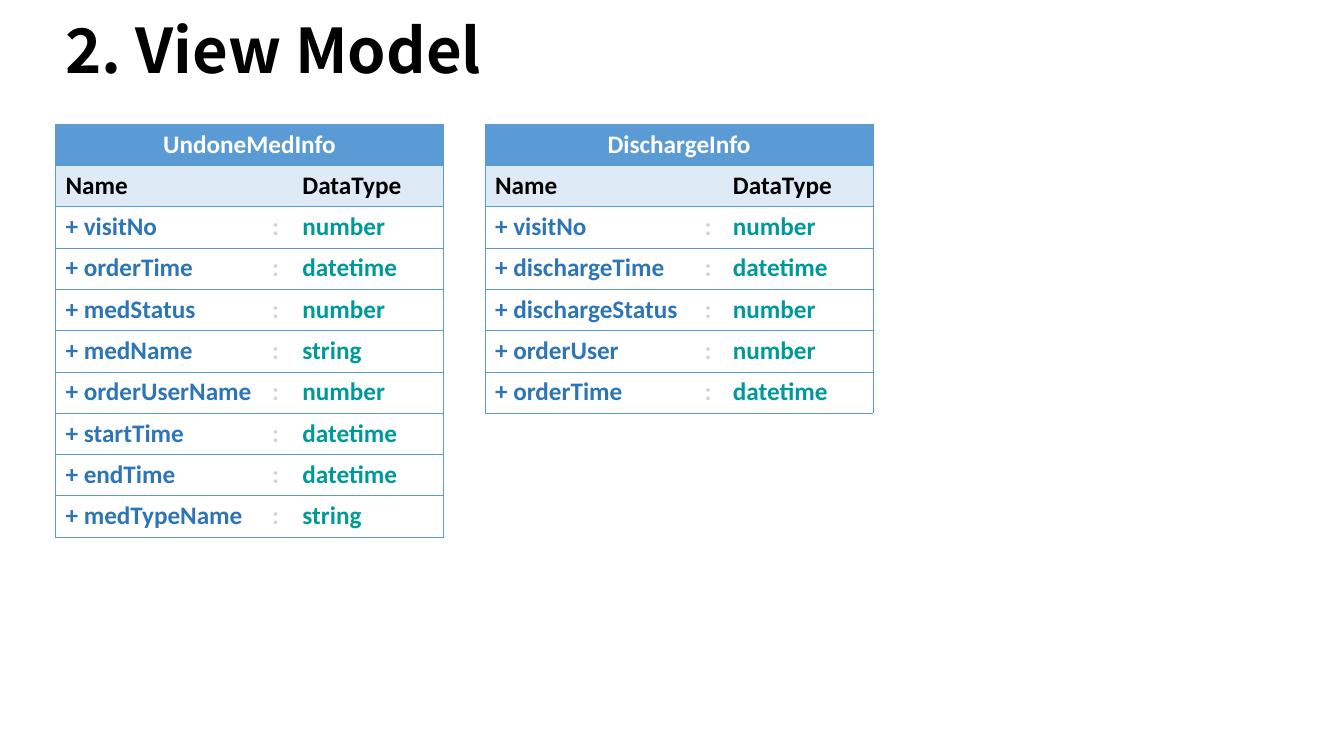
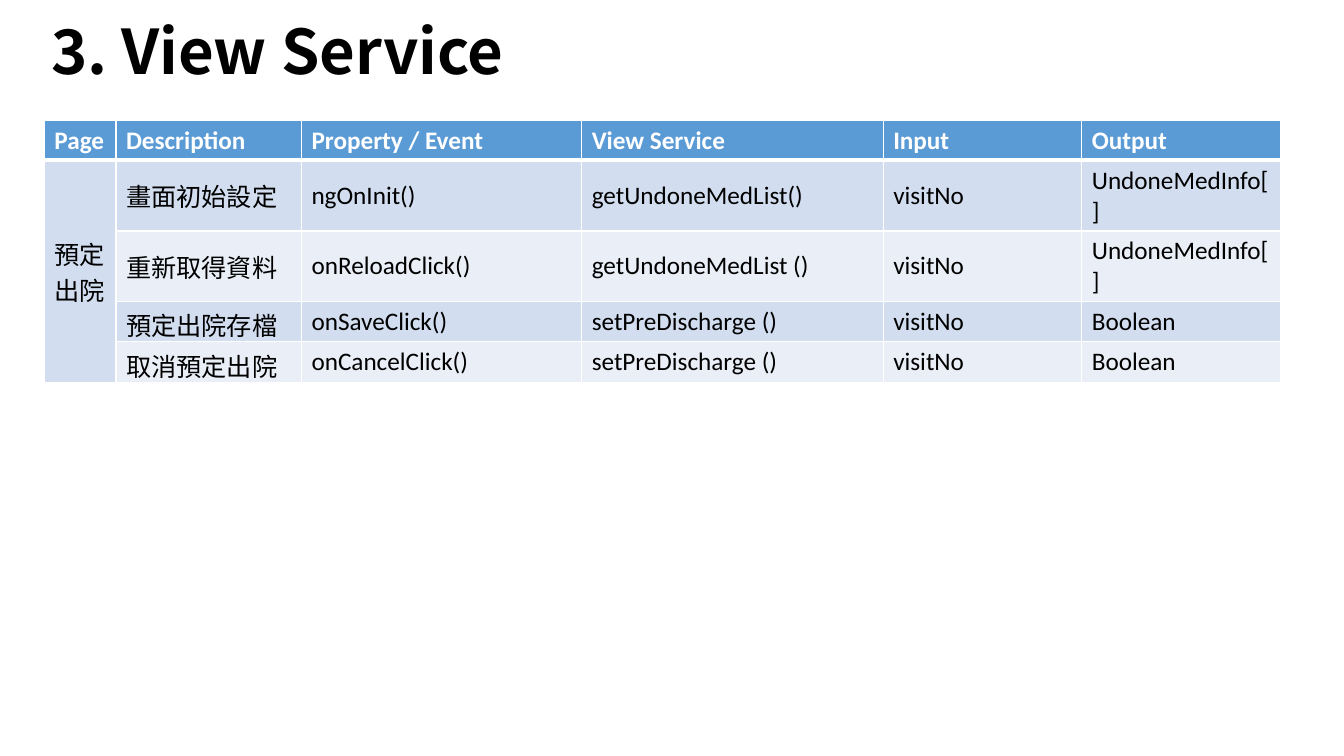
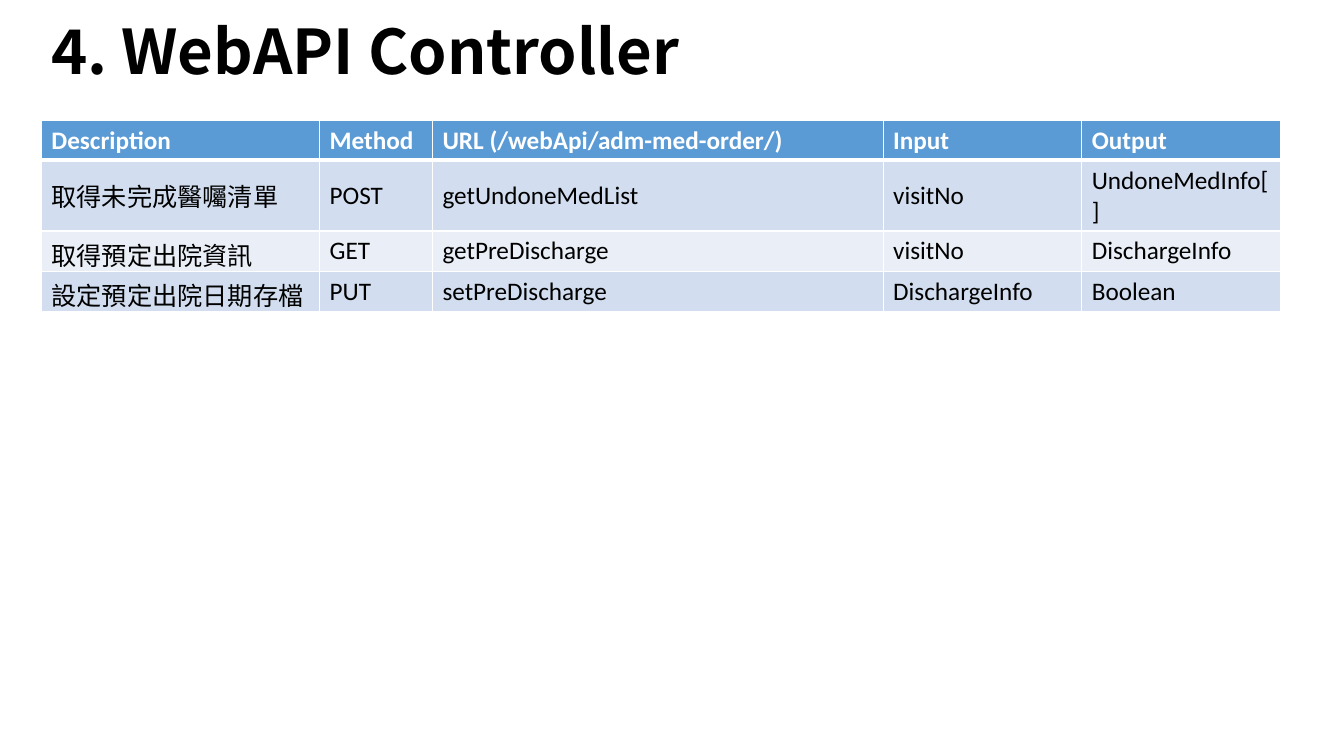
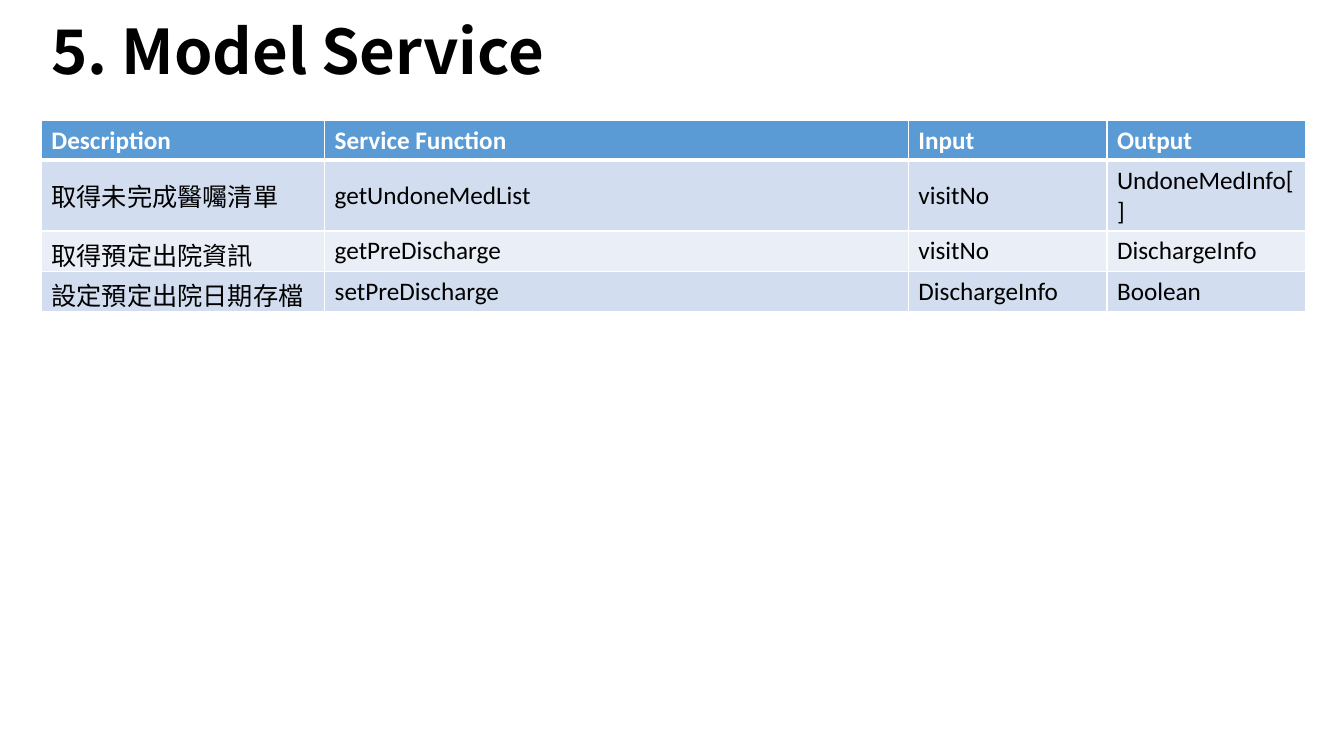
from dataclasses import dataclass

from pptx import Presentation
from pptx.dml.color import RGBColor
from pptx.enum.text import MSO_ANCHOR as Anchor, PP_ALIGN as Align
from pptx.oxml.ns import qn
from pptx.util import Inches, Pt
from lxml.etree import SubElement


# Theme
@dataclass(frozen=True)
class Theme:
    latin: str = "Calibri"
    cjk: str = "Noto Sans CJK SC"
    title_size: int = 44
    body_size: int = 18
    black: str = "000000"
    white: str = "FFFFFF"
    blue: str = "5B9BD5"
    subheader: str = "DEEBF7"
    field: str = "2E75B6"
    colon: str = "D4D4D4"
    datatype: str = "009999"
    bands: tuple = ("D2DEEF", "EAEFF7")


THEME = Theme()

# Content
MODEL_TITLE = "2. View Model"
MODELS = [
    {
        "name": "UndoneMedInfo", "left": 0.55, "columns": (2.05, 0.3, 1.5),
        "fields": [
            ("visitNo", "number"), ("orderTime", "datetime"),
            ("medStatus", "number"), ("medName", "string"),
            ("orderUserName", "number"), ("startTime", "datetime"),
            ("endTime", "datetime"), ("medTypeName", "string"),
        ],
    },
    {
        "name": "DischargeInfo", "left": 4.81, "columns": (2.08, 0.28, 1.49),
        "fields": [
            ("visitNo", "number"), ("dischargeTime", "datetime"),
            ("dischargeStatus", "number"), ("orderUser", "number"),
            ("orderTime", "datetime"),
        ],
    },
]

SERVICES = [
    {
        "title": "3. View Service", "left": 0.44, "merge_first": True,
        "columns": (0.71, 1.84, 2.78, 2.99, 1.97, 1.97),
        "rows": [
            ("Page", "Description", "Property / Event", "View Service", "Input", "Output"),
            ("預定出院", "畫面初始設定", "ngOnInit()", "getUndoneMedList()", "visitNo", "UndoneMedInfo[]"),
            ("", "重新取得資料", "onReloadClick()", "getUndoneMedList ()", "visitNo", "UndoneMedInfo[]"),
            ("", "預定出院存檔", "onSaveClick()", "setPreDischarge ()", "visitNo", "Boolean"),
            ("", "取消預定出院", "onCancelClick()", "setPreDischarge ()", "visitNo", "Boolean"),
        ],
    },
    {
        "title": "4. WebAPI Controller", "left": 0.41, "merge_first": False,
        "columns": (2.76, 1.12, 4.47, 1.97, 1.97),
        "rows": [
            ("Description", "Method", "URL (/webApi/adm-med-order/)", "Input", "Output"),
            ("取得未完成醫囑清單", "POST", "getUndoneMedList", "visitNo", "UndoneMedInfo[]"),
            ("取得預定出院資訊", "GET", "getPreDischarge", "visitNo", "DischargeInfo"),
            ("設定預定出院日期存檔", "PUT", "setPreDischarge", "DischargeInfo", "Boolean"),
        ],
    },
    {
        "title": "5. Model Service", "left": 0.41, "merge_first": False,
        "columns": (2.81, 5.79, 1.97, 1.97),
        "rows": [
            ("Description", "Service Function", "Input", "Output"),
            ("取得未完成醫囑清單", "getUndoneMedList", "visitNo", "UndoneMedInfo[]"),
            ("取得預定出院資訊", "getPreDischarge", "visitNo", "DischargeInfo"),
            ("設定預定出院日期存檔", "setPreDischarge", "DischargeInfo", "Boolean"),
        ],
    },
]


# Shared helpers
def write(frame, text, *, size=THEME.body_size, font=THEME.latin, color=THEME.black,
          bold=False, align=Align.LEFT, spacing=None):
    para = frame.paragraphs[0]
    para.alignment = align
    para.line_spacing = spacing
    span = para.add_run()
    span.text = text
    span.font.size = Pt(size)
    span.font.name = font
    span.font.bold = bold
    span.font.color.rgb = RGBColor.from_string(color)
    SubElement(span.font._element, qn("a:ea"), typeface=font)


def add_page(deck, title, left=0.41, top=-0.1, width=9.3, height=1.28):
    page = deck.slides.add_slide(deck.slide_layouts[6])
    box = page.shapes.add_textbox(Inches(left), Inches(top), Inches(width), Inches(height))
    frame = box.text_frame
    frame.word_wrap = True
    frame.vertical_anchor = Anchor.MIDDLE
    write(frame, title, size=THEME.title_size, font=THEME.cjk, bold=True, spacing=0.9)
    return page


def add_grid(page, left, top, columns, row_count, row_height):
    table = page.shapes.add_table(
        row_count, len(columns), Inches(left), Inches(top),
        Inches(sum(columns)), Inches(row_height * row_count)).table
    table.first_row = table.horz_banding = False
    for column, width in zip(table.columns, columns):
        column.width = Inches(width)
    for row in table.rows:
        row.height = Inches(row_height)
    return table


def style_cell(cell, fill, line_color, **widths):
    """Draw the sides L, R, T, B that have a width, then fill the cell."""
    properties = cell._tc.get_or_add_tcPr()
    for side in "LRTB":
        width = widths.get(side, 0)
        line = SubElement(properties, qn(f"a:ln{side}"), w=str(Pt(width)))
        if width:
            solid = SubElement(line, qn("a:solidFill"))
            SubElement(solid, qn("a:srgbClr"), val=line_color)
        else:
            SubElement(line, qn("a:noFill"))
    if fill:
        cell.fill.solid()
        cell.fill.fore_color.rgb = RGBColor.from_string(fill)
    else:
        cell.fill.background()


# Tables
def add_model(page, model):
    rows = [(model["name"], "", ""), ("Name", "", "DataType")]
    rows += [(f"+ {name}", ":", kind) for name, kind in model["fields"]]
    table = add_grid(page, model["left"], 1.23, model["columns"], len(rows), 0.41)
    table.cell(0, 0).merge(table.cell(0, 2))
    fills = {0: THEME.blue, 1: THEME.subheader}
    heading_colors = {0: THEME.white, 1: THEME.black}
    field_colors = (THEME.field, THEME.colon, THEME.datatype)
    for r, row in enumerate(rows):
        for c, text in enumerate(row):
            cell = table.cell(r, c)
            style_cell(cell, fills.get(r), THEME.blue, T=0.5, B=0.5,
                       L=0.5 if c == 0 else 0, R=0.5 if c == 2 or r == 0 else 0)
            if text:
                write(cell.text_frame, text, bold=True,
                      color=heading_colors.get(r, field_colors[c]),
                      align=Align.CENTER if r == 0 else Align.LEFT)


def add_service(page, service):
    rows = service["rows"]
    table = add_grid(page, service["left"], 1.19, service["columns"], len(rows), 0.4)
    if service["merge_first"]:
        table.cell(1, 0).merge(table.cell(len(rows) - 1, 0))
    for r, row in enumerate(rows):
        header = r == 0
        fill = THEME.blue if header else THEME.bands[(r - 1) % 2]
        for c, text in enumerate(row):
            cell = table.cell(r, c)
            cell.vertical_anchor = Anchor.MIDDLE
            style_cell(cell, fill, THEME.white, L=1, R=1,
                       T=3 if r == 1 else 1, B=3 if header else 1)
            if text:
                has_cjk = any(char >= "一" for char in text)
                write(cell.text_frame, text, bold=header,
                      font=THEME.cjk if has_cjk else THEME.latin,
                      color=THEME.white if header else THEME.black)


def main():
    deck = Presentation()
    deck.slide_width, deck.slide_height = Inches(13.33), Inches(7.5)

    page = add_page(deck, MODEL_TITLE, 0.55, 0.14, 12.17, 0.78)
    for model in MODELS:
        add_model(page, model)

    for service in SERVICES:
        add_service(add_page(deck, service["title"]), service)

    deck.save("out.pptx")


if __name__ == "__main__":
    main()
